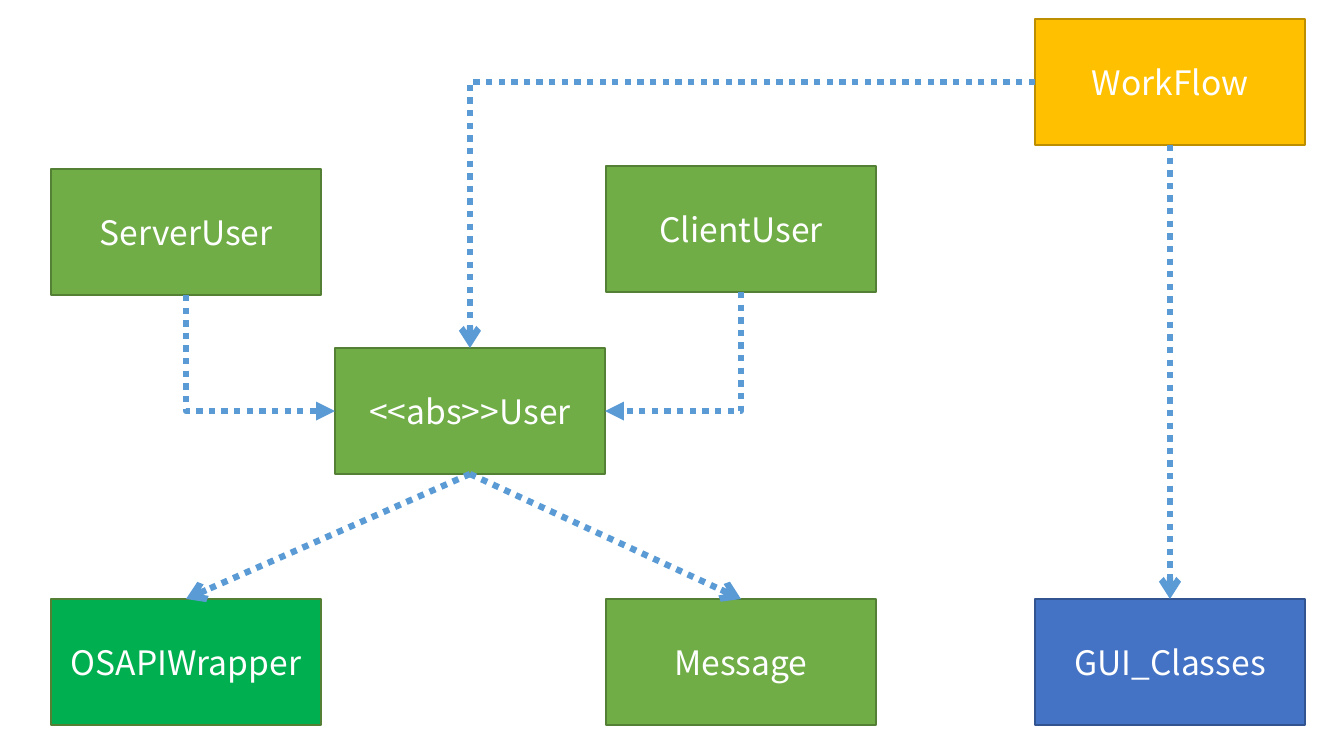
"""Build a class dependency diagram of boxes joined by dotted arrows."""
import dataclasses

import lxml.etree
import pptx
import pptx.dml.color
import pptx.enum.dml
import pptx.enum.shapes
import pptx.enum.text
import pptx.oxml.ns
import pptx.shapes.autoshape
import pptx.shapes.connector
import pptx.slide
import pptx.util

EMU_PER_PIXEL = 914400 / 100.8
BOX_WIDTH, BOX_HEIGHT = 270, 126
TOP, LEFT, BOTTOM, RIGHT = range(4)
GREEN, GREEN_EDGE = "70AD47", "538035"


@dataclasses.dataclass(frozen=True)
class ClassBox:
    name: str
    left: int
    top: int
    fill: str = GREEN
    edge: str = GREEN_EDGE


@dataclasses.dataclass(frozen=True)
class Dependency:
    source: str
    source_side: int
    target: str
    target_side: int
    head: str = "arrow"

    @property
    def is_bent(self) -> bool:
        return (self.source_side in (LEFT, RIGHT)) != (self.target_side in (LEFT, RIGHT))


BOXES = [
    ClassBox("OSAPIWrapper", 51, 599, "00B050"),
    ClassBox("<<abs>>User", 335, 348),
    ClassBox("Message", 606, 599),
    ClassBox("WorkFlow", 1035, 19, "FFC000", "BD8E00"),
    ClassBox("ServerUser", 51, 169),
    ClassBox("ClientUser", 606, 166),
    ClassBox("GUI_Classes", 1035, 599, "4472C4", "325491"),
]
DEPENDENCIES = [
    Dependency("ServerUser", BOTTOM, "<<abs>>User", LEFT, "triangle"),
    Dependency("ClientUser", BOTTOM, "<<abs>>User", RIGHT, "triangle"),
    Dependency("<<abs>>User", BOTTOM, "Message", TOP),
    Dependency("WorkFlow", BOTTOM, "GUI_Classes", TOP),
    Dependency("WorkFlow", LEFT, "<<abs>>User", TOP),
    Dependency("<<abs>>User", BOTTOM, "OSAPIWrapper", TOP),
]


def pixels(count: int) -> pptx.util.Emu:
    return pptx.util.Emu(round(count * EMU_PER_PIXEL))


def color(value: str) -> pptx.dml.color.RGBColor:
    return pptx.dml.color.RGBColor.from_string(value)


def draw_box(slide: pptx.slide.Slide, box: ClassBox) -> pptx.shapes.autoshape.Shape:
    shape = slide.shapes.add_shape(
        pptx.enum.shapes.MSO_SHAPE.RECTANGLE,
        pixels(box.left), pixels(box.top), pixels(BOX_WIDTH), pixels(BOX_HEIGHT),
    )
    shape.shadow.inherit = False
    shape.fill.solid()
    shape.fill.fore_color.rgb = color(box.fill)
    shape.line.color.rgb = color(box.edge)
    shape.line.width = pptx.util.Pt(1)
    text_frame = shape.text_frame
    text_frame.text = box.name
    text_frame.vertical_anchor = pptx.enum.text.MSO_ANCHOR.MIDDLE
    paragraph = text_frame.paragraphs[0]
    paragraph.alignment = pptx.enum.text.PP_ALIGN.CENTER
    font = paragraph.runs[0].font
    font.name = "Noto Sans CJK SC"
    font.size = pptx.util.Pt(24)
    font.color.rgb = color("FFFFFF")
    return shape


def turn_downward_first(connector: pptx.shapes.connector.Connector) -> None:
    goes_right = connector.end_x > connector.begin_x
    left, top, width, height = connector.left, connector.top, connector.width, connector.height
    connector.left = left + (width - height) // 2
    connector.top = top + (height - width) // 2
    connector.width, connector.height = height, width
    transform = connector.element.spPr.find(pptx.oxml.ns.qn("a:xfrm"))
    transform.set("rot", str((270 if goes_right else 90) * 60000))
    transform.set("flipH", str(int(goes_right)))


def draw_dependency(
    slide: pptx.slide.Slide,
    dependency: Dependency,
    shapes: dict[str, pptx.shapes.autoshape.Shape],
) -> None:
    kinds = pptx.enum.shapes.MSO_CONNECTOR
    kind = kinds.ELBOW if dependency.is_bent else kinds.STRAIGHT
    connector = slide.shapes.add_connector(kind, 0, 0, 0, 0)
    connector.begin_connect(shapes[dependency.source], dependency.source_side)
    connector.end_connect(shapes[dependency.target], dependency.target_side)
    connector.line.color.rgb = color("5B9BD5")
    connector.line.width = pptx.util.Pt(4.5)
    connector.line.dash_style = pptx.enum.dml.MSO_LINE.ROUND_DOT
    qualify = pptx.oxml.ns.qn
    properties = connector.element.spPr
    line = properties.find(qualify("a:ln"))
    lxml.etree.SubElement(line, qualify("a:tailEnd"), type=dependency.head)
    lxml.etree.SubElement(properties, qualify("a:effectLst"))
    if dependency.is_bent:
        properties.find(qualify("a:prstGeom")).set("prst", "bentConnector2")
        if dependency.source_side == BOTTOM:
            turn_downward_first(connector)


def main() -> None:
    presentation = pptx.Presentation()
    presentation.slide_width = pixels(1344)
    presentation.slide_height = pixels(756)
    slide = presentation.slides.add_slide(presentation.slide_layouts[6])
    shapes = {box.name: draw_box(slide, box) for box in BOXES}
    for dependency in DEPENDENCIES:
        draw_dependency(slide, dependency, shapes)
    presentation.save("out.pptx")


main()
